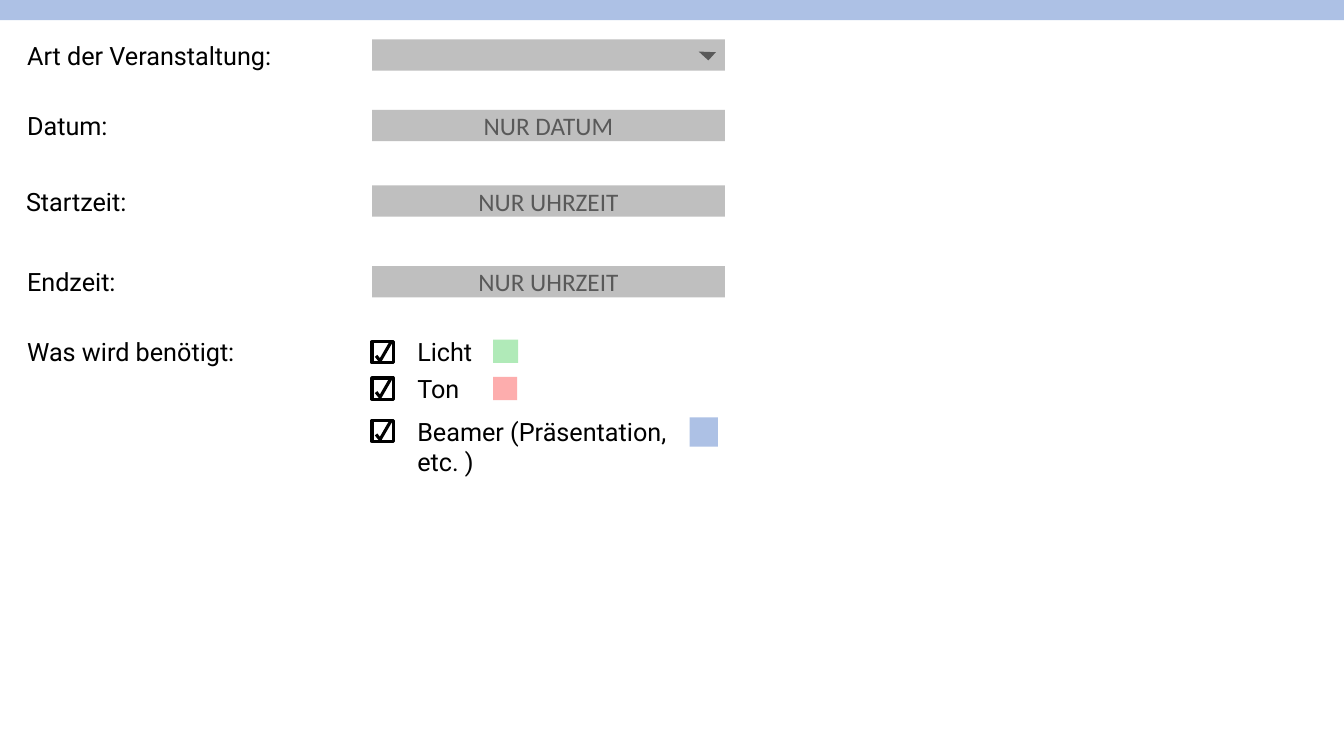
from pptx import Presentation
from pptx.dml.color import RGBColor
from pptx.enum.shapes import MSO_SHAPE
from pptx.enum.text import MSO_ANCHOR, MSO_AUTO_SIZE, PP_ALIGN
from pptx.util import Inches, Pt

RECT = MSO_SHAPE.RECTANGLE
ARROW = MSO_SHAPE.RIGHT_TRIANGLE
MIDDLE = MSO_ANCHOR.MIDDLE
CENTER = PP_ALIGN.CENTER
GROW = MSO_AUTO_SIZE.SHAPE_TO_FIT_TEXT

BLACK = RGBColor(0x00, 0x00, 0x00)
WHITE = RGBColor(0xFF, 0xFF, 0xFF)
DARK = RGBColor(0x59, 0x59, 0x59)
GRAY = RGBColor(0xBF, 0xBF, 0xBF)
BLUE = RGBColor(0xAD, 0xC1, 0xE5)
GREEN = RGBColor(0xB0, 0xEA, 0xB8)
RED = RGBColor(0xFD, 0xAD, 0xAD)

FIELD_X = 3.69

deck = Presentation()
deck.slide_width = Inches(13.33)
deck.slide_height = Inches(7.5)
slide = deck.slides.add_slide(deck.slide_layouts[6])
shapes = slide.shapes


def add_block(kind, x, y, w, h, fill):
    block = shapes.add_shape(kind, Inches(x), Inches(y), Inches(w), Inches(h))
    block.shadow.inherit = False
    block.fill.solid()
    block.fill.fore_color.rgb = fill
    block.line.fill.background()
    return block


def add_label(text, x, y, w, h=0.4):
    box = shapes.add_textbox(Inches(x), Inches(y), Inches(w), Inches(h))
    frame = box.text_frame
    frame.word_wrap = True
    frame.auto_size = GROW
    run = frame.paragraphs[0].add_run()
    run.text = text
    run.font.name = "Roboto"
    run.font.size = Pt(18)
    run.font.color.rgb = BLACK


add_block(RECT, -0.28, -0.22, 13.89, 0.42, BLUE)

# Form rows: label, label left, label top, label width, field top, hint
rows = [
    ("Art der Veranstaltung:", 0.17, 0.35, 2.82, 0.39, None),
    ("Datum:", 0.17, 1.05, 2.82, 1.09, "NUR DATUM"),
    ("Startzeit:", 0.16, 1.8, 2.82, 1.84, "NUR UHRZEIT"),
    ("Endzeit:", 0.17, 2.59, 3.09, 2.64, "NUR UHRZEIT"),
]
for label, x, y, w, top, hint in rows:
    add_label(label, x, y, w)
    field = add_block(RECT, FIELD_X, top, 3.5, 0.31, GRAY)
    if hint:
        frame = field.text_frame
        frame.vertical_anchor = MIDDLE
        para = frame.paragraphs[0]
        para.alignment = CENTER
        run = para.add_run()
        run.text = hint
        run.font.name = "Calibri"
        run.font.size = Pt(18)
        run.font.color.rgb = DARK

arrow = add_block(ARROW, 6.96, 0.45, 0.11, 0.13, DARK)
arrow.rotation = 312.4

# Checkboxes: label, label top, label height, box top, colour, swatch frame
add_label("Was wird benötigt:", 0.17, 3.29, 3.09)
needs = [
    ("Licht", 3.29, 0.4, 3.39, GREEN, (4.89, 3.37, 0.25, 0.23)),
    ("Ton", 3.65, 0.4, 3.75, RED, (4.89, 3.74, 0.24, 0.23)),
    ("Beamer (Präsentation, etc. )", 4.08, 0.71, 4.17, BLUE,
     (6.84, 4.14, 0.28, 0.29)),
]
for label, y, h, top, color, swatch in needs:
    box = add_block(RECT, FIELD_X, top, 0.21, 0.21, WHITE)
    pen = shapes.build_freeform(Inches(3.73), Inches(top + 0.14))
    pen.add_line_segments(
        [(Inches(3.77), Inches(top + 0.19)), (Inches(3.88), Inches(top))],
        close=False)
    tick = pen.convert_to_shape()
    tick.shadow.inherit = False
    tick.fill.background()
    for part in (box, tick):
        part.line.color.rgb = BLACK
        part.line.width = Pt(2.25)
    add_label(label, 4.04, y, 2.82, h)
    add_block(RECT, *swatch, color)

deck.save("out.pptx")
